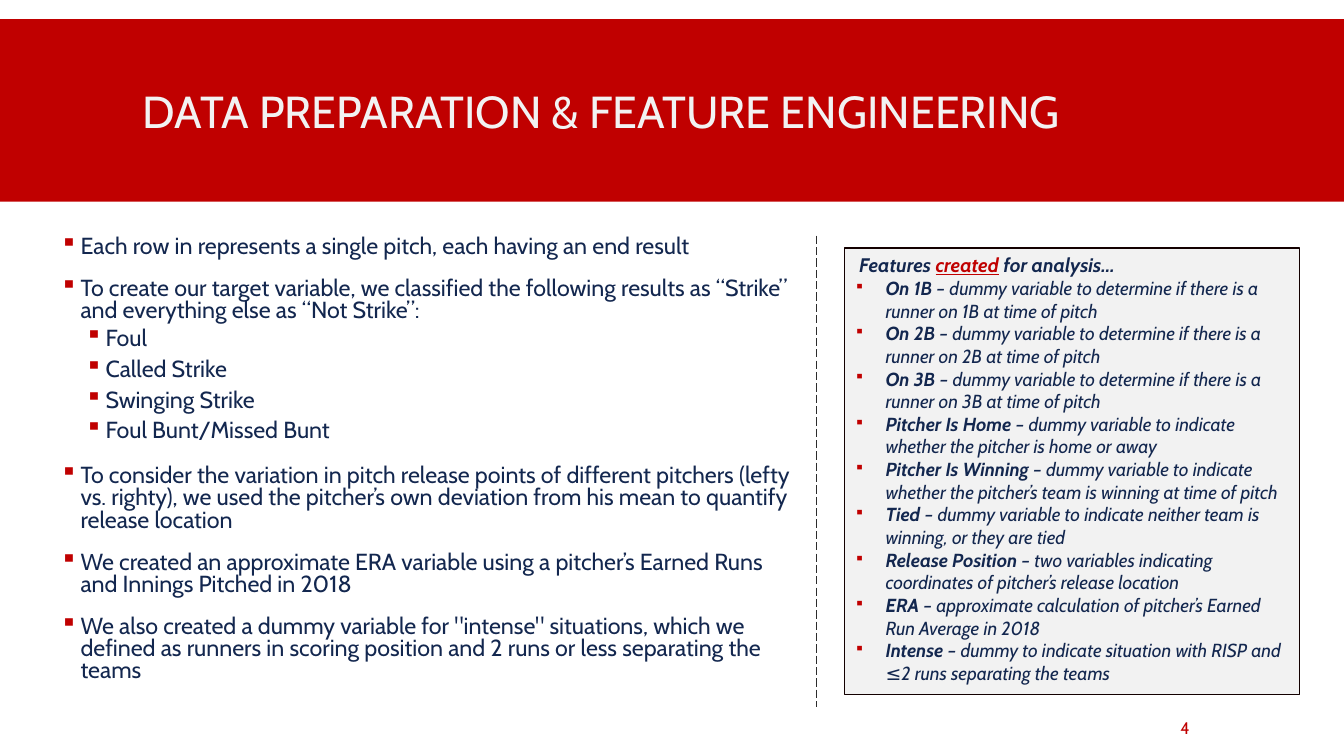
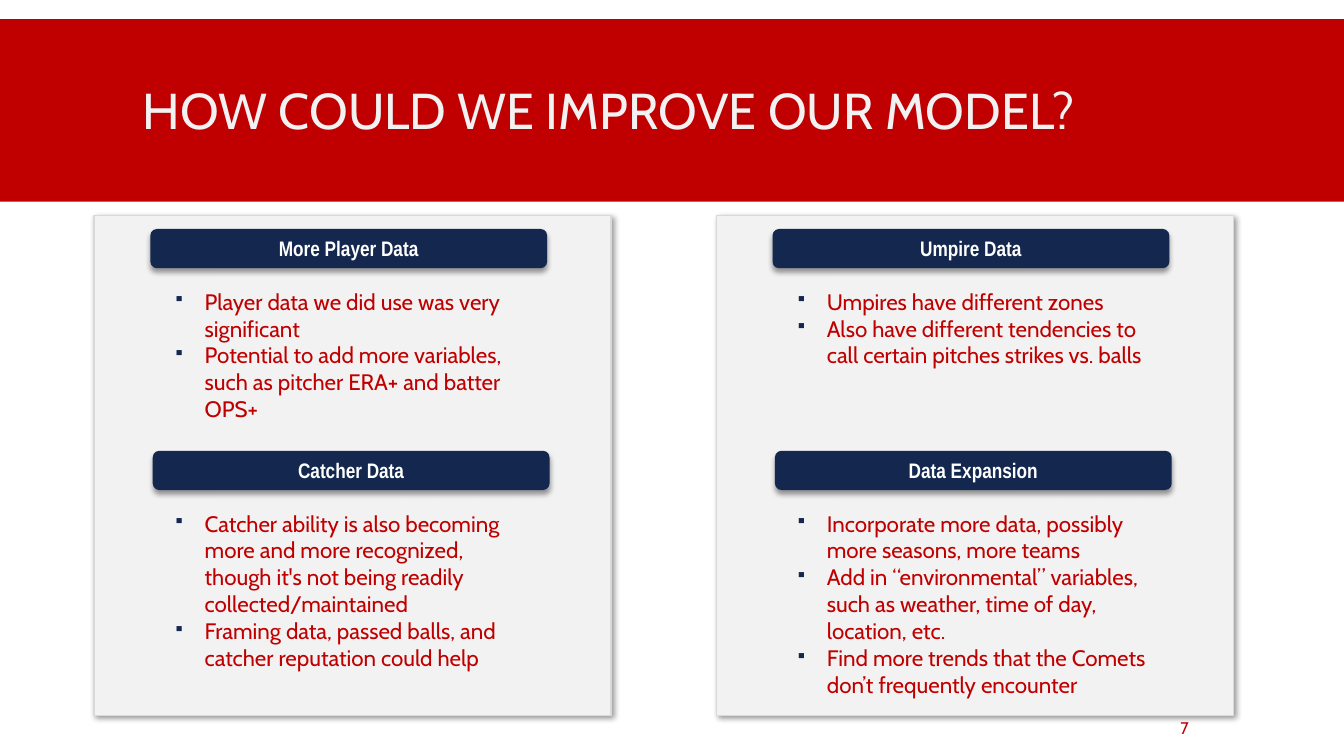
from lxml import etree
from pptx import Presentation
from pptx import util as u
from pptx.dml.color import RGBColor
from pptx.enum import dml, shapes, text
from pptx.oxml import ns

Cm, Pt = u.Cm, u.Pt
HUES = {"red": "C00000", "navy": "13274F", "pale": "F2F2F2", "edge": "D9D9D9",
        "ink": "130000", "dash": "2C2C2C", "white": "FFFFFF"}
FONT = "Cabin"
WIDE = 33.87

NOTES = [
    (0, "Each row in represents a single pitch, each having an end result"),
    (0, "To create our target variable, we classified the following results as “Strike” "
        "and everything else as “Not Strike”:"),
    (1, "Foul"),
    (1, "Called Strike"),
    (1, "Swinging Strike"),
    (1, "Foul Bunt/Missed Bunt"),
    (0, "To consider the variation in pitch release points of different pitchers (lefty vs. "
        "righty), we used the pitcher’s own deviation from his mean to quantify release location"),
    (0, "We created an approximate ERA variable using a pitcher’s Earned Runs and Innings "
        "Pitched in 2018"),
    (0, 'We also created a dummy variable for "intense" situations, which we defined as '
        "runners in scoring position and 2 runs or less separating the teams"),
]
TRAITS = [
    *[(f"On {n}B", f"dummy variable to determine if there is a runner on {n}B at time of pitch")
      for n in (1, 2, 3)],
    ("Pitcher Is Home", "dummy variable to indicate whether the pitcher is home or away"),
    ("Pitcher Is Winning",
     "dummy variable to indicate whether the pitcher’s team is winning at time of pitch"),
    ("Tied", "dummy variable to indicate neither team is winning, or they are tied"),
    ("Release Position", "two variables indicating coordinates of pitcher’s release location"),
    ("ERA", "approximate calculation of pitcher’s Earned Run Average in 2018"),
    ("Intense", "dummy to indicate situation with RISP and ≤2 runs separating the teams"),
]
PANELS = [
    [("More Player Data", [
        "Player data we did use was very significant",
        "Potential to add more variables, such as pitcher ERA+ and batter OPS+"]),
     ("Catcher Data", [
         "Catcher ability is also becoming more and more recognized, though it's not being "
         "readily collected/maintained",
         "Framing data, passed balls, and catcher reputation could help"])],
    [("Umpire Data", [
        "Umpires have different zones",
        "Also have different tendencies to call certain pitches strikes vs. balls"]),
     ("Data Expansion", [
         "Incorporate more data, possibly more seasons, more teams",
         "Add in “environmental” variables, such as weather, time of day, location, etc.",
         "Find more trends that the Comets don’t frequently encounter"])],
]


def hue(name):
    return RGBColor.from_string(HUES[name])


def sub(node, tag, **attrs):
    return etree.SubElement(node, ns.qn(tag), {k: str(v) for k, v in attrs.items()})


def block(slide, box, fill, edge=None, kind=shapes.MSO_SHAPE.RECTANGLE):
    shape = slide.shapes.add_shape(kind, *map(Cm, box))
    shape.shadow.inherit = False
    shape.fill.solid()
    shape.fill.fore_color.rgb = hue(fill)
    if edge:
        shape.line.color.rgb = hue(edge)
        shape.line.width = Pt(0.75)
    else:
        shape.line.fill.background()
    return shape


def shade(shape, dist, angle):
    effect = shape.element.spPr.find(ns.qn("a:effectLst"))
    cast = sub(effect, "a:outerShdw", blurRad=Pt(4), dist=Pt(dist), dir=angle * 60000,
               algn="ctr", rotWithShape=0)
    sub(sub(cast, "a:srgbClr", val="000000"), "a:alpha", val=40000)


def area(slide, box, anchor=text.MSO_ANCHOR.TOP):
    frame = slide.shapes.add_textbox(*map(Cm, box)).text_frame
    frame.word_wrap = True
    frame.vertical_anchor = anchor
    return frame


def mark(para, color, left, hang, scale=100):
    props = para._p.get_or_add_pPr()
    props.set("marL", str(Cm(left)))
    props.set("indent", str(-Cm(hang)))
    sub(sub(props, "a:buClr"), "a:srgbClr", val=HUES[color])
    sub(props, "a:buSzPct", val=scale * 1000)
    sub(props, "a:buChar", char="▪")


def write(frame, words, size, color, bullet=None, face=FONT):
    para = frame.paragraphs[0]
    if para.runs:
        para = frame.add_paragraph()
    para.alignment = text.PP_ALIGN.LEFT
    if bullet:
        mark(para, *bullet)
    font = para.font
    font.name, font.size = face, Pt(size)
    font.color.rgb = hue(color)
    for word in words:
        para.add_run().text = word
    return para


def base(deck, title, size, number):
    slide = deck.slides.add_slide(deck.slide_layouts[6])
    block(slide, (0, 0.48, WIDE, 4.6), "red")
    middle = text.MSO_ANCHOR.MIDDLE
    head = area(slide, (3.35, 0.79, 27.18, 4.19), middle)
    write(head, [title], size, "pale").line_spacing = 0.85
    foot = area(slide, (29.62, 17.83, 2.62, 1.02), middle)
    foot.margin_left = Cm(0.13)
    write(foot, [number], 12, "red")
    return slide


def notes(slide, box):
    frame = area(slide, box)
    for level, line in NOTES:
        para = write(frame, [line], 16.6, "navy", ("red", 0.51 + 0.63 * level, 0.51))
        para.level = level
        para.line_spacing = 0.8
        para.space_before, para.space_after = (Pt(2), Pt(4)) if level else (Pt(12), Pt(2))


def traits(slide, box):
    frame = block(slide, box, "pale", "ink").text_frame
    frame.word_wrap = True
    frame.vertical_anchor = text.MSO_ANCHOR.TOP
    head = write(frame, ["Features ", "created", " for analysis…"], 14, "navy")
    head._p.get_or_add_pPr().set("marL", str(Cm(0.12)))
    head.font.bold = head.font.italic = True
    key = head.runs[1].font
    key.underline = True
    key.color.rgb = hue("red")
    for name, gloss in TRAITS:
        para = write(frame, [name, f" – {gloss}"], 13.5, "navy", ("red", 0.79, 0.79, 75))
        para.font.italic = True
        para.runs[0].font.bold = True


def rule(slide, x, top, end):
    line = slide.shapes.add_connector(shapes.MSO_CONNECTOR.STRAIGHT,
                                      Cm(x), Cm(top), Cm(x), Cm(end))
    line.line.color.rgb = hue("dash")
    line.line.width = Pt(0.75)
    line.line.dash_style = dml.MSO_LINE.LONG_DASH
    sub(line.element.spPr, "a:effectLst")


def pill(slide, box, label):
    shape = block(slide, box, "navy", kind=shapes.MSO_SHAPE.ROUNDED_RECTANGLE)
    shade(shape, 3, 90)
    frame = shape.text_frame
    frame.margin_left = frame.margin_right = Cm(0.13)
    frame.vertical_anchor = text.MSO_ANCHOR.MIDDLE
    para = write(frame, [label], 15, "white", face="Arial Narrow")
    para.alignment = text.PP_ALIGN.CENTER
    para.font.bold = True


def panel(slide, box, parts):
    left, top, _, _ = box
    shade(block(slide, box, "pale", "edge"), 2, 45)
    for row, (label, lines) in enumerate(parts):
        y = top + 5.59 * row
        pill(slide, (left + 1.42 + 0.06 * row, y + 0.34, 10, 0.99), label)
        frame = area(slide, (left + 1.75, y + 1.7, 9.35, 4.5))
        for line in lines:
            write(frame, [line], 16, "red", ("navy", 0.79, 0.79, 70))


def main():
    deck = Presentation()
    deck.slide_width, deck.slide_height = Cm(WIDE), Cm(19.05)
    prep = base(deck, "DATA PREPARATION & FEATURE ENGINEERING", 32, "4")
    rule(prep, 20.57, 5.94, 17.81)
    traits(prep, (21.28, 6.25, 11.46, 11.25))
    notes(prep, (1.27, 5.84, 18.95, 12.67))
    plan = base(deck, "HOW COULD WE IMPROVE OUR MODEL?", 36, "7")
    for col, parts in enumerate(PANELS):
        panel(plan, (2.37 + 15.68 * col, 5.43, 13.03, 12.6), parts)
    deck.save("out.pptx")


if __name__ == "__main__":
    main()
